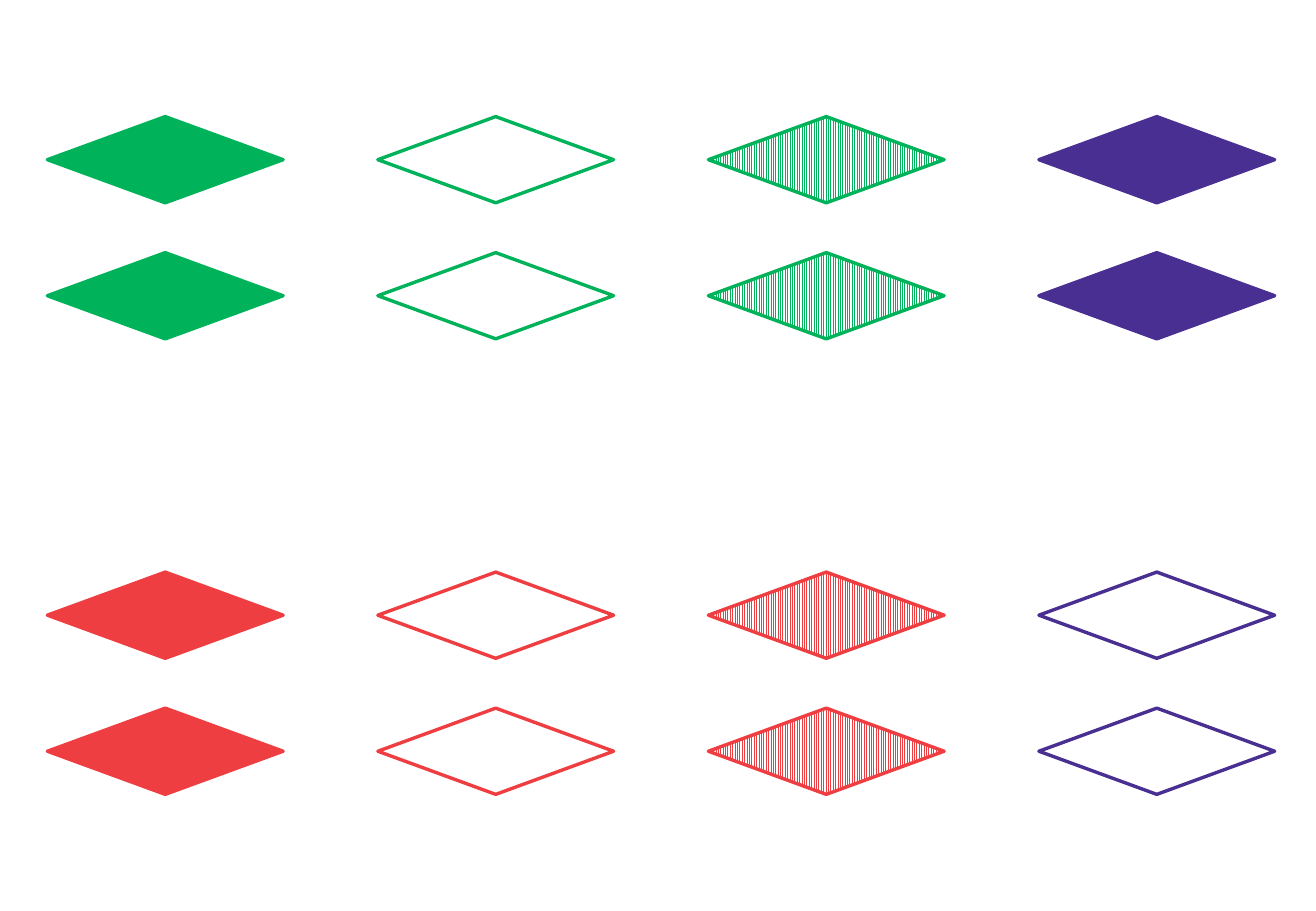
from dataclasses import dataclass

import pptx
import pptx.dml.color
import pptx.enum.dml
import pptx.enum.shapes
import pptx.shapes.group
import pptx.slide
import pptx.util

Inches = pptx.util.Inches

COLORS = {"green": "00B259", "red": "EF3E42", "purple": "492F92", "white": "FFFFFF"}
LEFT, COLUMN_STEP = 0.39, 2.72
PAIR_STEP = 1.12
WIDTH, HEIGHT = 1.94, 0.71


@dataclass(frozen=True)
class CardStyle:
    color: str
    shading: str


@dataclass(frozen=True)
class CardRow:
    top: float
    styles: tuple[CardStyle, ...]


ROWS = (
    CardRow(0.96, (
        CardStyle("green", "solid"),
        CardStyle("green", "open"),
        CardStyle("green", "striped"),
        CardStyle("purple", "solid"),
    )),
    CardRow(4.71, (
        CardStyle("red", "solid"),
        CardStyle("red", "open"),
        CardStyle("red", "striped"),
        CardStyle("purple", "open"),
    )),
)


def rgb(name: str) -> pptx.dml.color.RGBColor:
    return pptx.dml.color.RGBColor.from_string(COLORS[name])


def add_diamond(
    group: pptx.shapes.group.GroupShape, left: float, top: float, style: CardStyle
) -> None:
    sp = group.shapes.add_shape(
        pptx.enum.shapes.MSO_SHAPE.DIAMOND,
        Inches(left), Inches(top), Inches(WIDTH), Inches(HEIGHT),
    )
    sp.shadow.inherit = False
    sp.line.color.rgb = rgb(style.color)
    sp.line.width = pptx.util.Pt(2)
    if style.shading == "striped":
        sp.fill.patterned()
        sp.fill.pattern = pptx.enum.dml.MSO_PATTERN.LIGHT_VERTICAL
        sp.fill.fore_color.rgb = rgb(style.color)
        sp.fill.back_color.rgb = rgb("white")
    else:
        sp.fill.solid()
        sp.fill.fore_color.rgb = rgb(style.color if style.shading == "solid" else "white")


def add_card(s: pptx.slide.Slide, left: float, top: float, style: CardStyle) -> None:
    group = s.shapes.add_group_shape()
    for i in range(2):
        add_diamond(group, left, top + i * PAIR_STEP, style)


def main() -> None:
    prs = pptx.Presentation()
    prs.slide_width = Inches(10.83)
    prs.slide_height = Inches(7.5)
    s = prs.slides.add_slide(prs.slide_layouts[6])
    for row in ROWS:
        for column, style in enumerate(row.styles):
            add_card(s, LEFT + column * COLUMN_STEP, row.top, style)
    prs.save("out.pptx")


if __name__ == "__main__":
    main()
